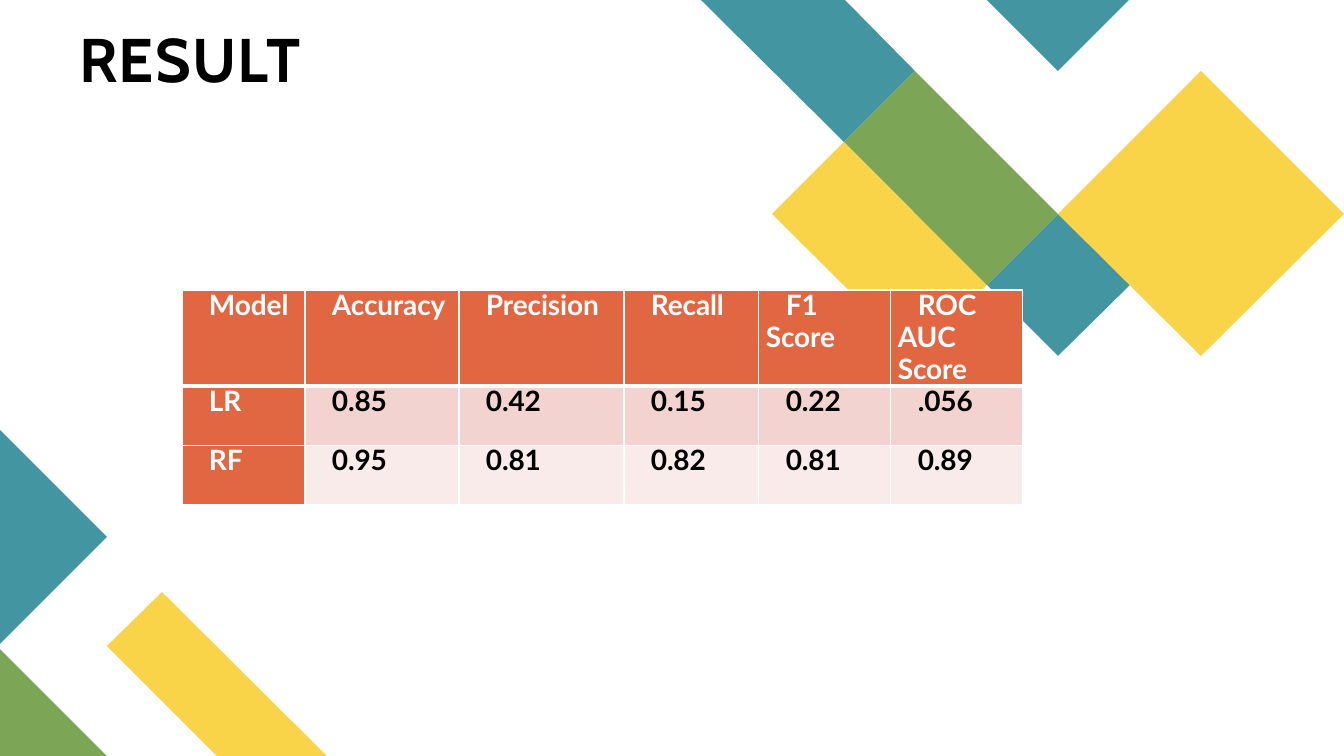
from lxml import etree
from pptx import Presentation
from pptx.dml.color import RGBColor
from pptx.enum.text import MSO_ANCHOR, MSO_AUTO_SIZE, PP_ALIGN
from pptx.oxml.ns import qn
from pptx.util import Emu, Pt

LEFT, JUSTIFY = PP_ALIGN.LEFT, PP_ALIGN.JUSTIFY
TOP, BOTTOM = MSO_ANCHOR.TOP, MSO_ANCHOR.BOTTOM
NO_AUTOFIT = MSO_AUTO_SIZE.NONE

EMU_PER_PX = 914400 / 100.8
TITLE_ONLY_LAYOUT = 5

TEAL, YELLOW, GREEN = "4495A2", "F9D448", "7CA655"
ORANGE, PINK, PALE_PINK = "E06742", "F3D3CF", "F9EBE9"
WHITE, BLACK = "FFFFFF", "000000"

DECORATIONS = [
    (YELLOW, [(327, 756), (217, 756), (107, 646), (162, 592)]),
    (GREEN, [(107, 756), (0, 756), (0, 649)]),
    (TEAL, [(0, 430), (107, 537), (0, 644)]),
    (TEAL, [(915, 71), (845, 0), (701, 0), (844, 142)]),
    (TEAL, [(1130, 285), (1058, 214), (987, 285), (1058, 356)]),
    (YELLOW, [(844, 142), (772, 214), (915, 356), (987, 285)]),
    (TEAL, [(1129, 0), (987, 0), (1058, 71)]),
    (GREEN, [(915, 71), (844, 142), (987, 285), (1058, 214)]),
    (YELLOW, [(1344, 214), (1201, 71), (1058, 214), (1201, 356)]),
]

RESULTS = [
    ["Model", "Accuracy", "Precision", "Recall", "F1 Score", "ROC AUC Score"],
    ["LR", "0.85", "0.42", "0.15", "0.22", ".056"],
    ["RF", "0.95", "0.81", "0.82", "0.81", "0.89"],
]
COLUMN_WIDTHS = [123, 154, 165, 135, 132, 132]
ROW_HEIGHTS = [95, 59, 59]
ROW_FILLS = [ORANGE, PINK, PALE_PINK]


def px(length):
    return Emu(round(length * EMU_PER_PX))


def color(hex_string):
    return RGBColor.from_string(hex_string)


def paint(fill, hex_string):
    fill.solid()
    fill.fore_color.rgb = color(hex_string)


def format_run(run, font_name, size, hex_string, spacing):
    """Style a bold run; spacing is in hundredths of a point."""
    run.font.name = font_name
    run.font.size = Pt(size)
    run.font.bold = True
    run.font.color.rgb = color(hex_string)
    run._r.get_or_add_rPr().set("spc", str(spacing))


def add_polygon(slide, hex_string, points):
    builder = slide.shapes.build_freeform(*points[0], scale=EMU_PER_PX)
    builder.add_line_segments(points[1:], close=True)
    shape = builder.convert_to_shape()
    shape.shadow.inherit = False
    paint(shape.fill, hex_string)
    shape.line.fill.background()


def add_title(slide, text):
    title = slide.shapes.title
    title.left, title.top, title.width, title.height = map(px, (79, 28, 891, 68))
    frame = title.text_frame
    frame.text = text
    frame.auto_size = NO_AUTOFIT
    frame.vertical_anchor = BOTTOM
    frame.margin_left = frame.margin_top = 0
    frame.margin_right = frame.margin_bottom = 0
    paragraph = frame.paragraphs[0]
    paragraph.alignment = LEFT
    paragraph.line_spacing = 0.9
    format_run(paragraph.runs[0], "Cabin", 44, BLACK, 100)
    # Bring the title in front of the decorations
    title.element.getparent().append(title.element)


def set_borders(cell, top, bottom):
    """Draw white cell borders; top and bottom are widths in points."""
    properties = cell._tc.get_or_add_tcPr()
    widths = {"a:lnL": 1, "a:lnR": 1, "a:lnT": top, "a:lnB": bottom}
    for position, (tag, width) in enumerate(widths.items()):
        line = etree.Element(qn(tag), w=str(Pt(width)))
        fill = etree.SubElement(line, qn("a:solidFill"))
        etree.SubElement(fill, qn("a:srgbClr"), val=WHITE)
        properties.insert(position, line)


def fill_cell(cell, text, fill, text_color):
    paint(cell.fill, fill)
    cell.vertical_anchor = TOP
    cell.margin_left = cell.margin_right = px(7)
    cell.margin_top = cell.margin_bottom = 0
    cell.text = text
    paragraph = cell.text_frame.paragraphs[0]
    paragraph.alignment = JUSTIFY
    paragraph.line_spacing = 0.95
    paragraph.space_after = Pt(6)
    paragraph._p.get_or_add_pPr().set("indent", str(px(20)))
    format_run(paragraph.runs[0], "Lato", 20, text_color, -10)


def add_results_table(slide):
    frame = slide.shapes.add_table(
        len(RESULTS), len(COLUMN_WIDTHS), px(182), px(290),
        px(sum(COLUMN_WIDTHS)), px(sum(ROW_HEIGHTS)))
    table = frame.table
    table.first_col = True
    for column, width in zip(table.columns, COLUMN_WIDTHS):
        column.width = px(width)
    for row_index, values in enumerate(RESULTS):
        table.rows[row_index].height = px(ROW_HEIGHTS[row_index])
        for column_index, value in enumerate(values):
            is_heading = row_index == 0 or column_index == 0
            cell = table.cell(row_index, column_index)
            fill_cell(cell, value,
                      ORANGE if is_heading else ROW_FILLS[row_index],
                      WHITE if is_heading else BLACK)
            set_borders(cell, top=3 if row_index == 1 else 1,
                        bottom=3 if row_index == 0 else 1)


def main():
    presentation = Presentation()
    presentation.slide_width = px(1344)
    presentation.slide_height = px(756)
    layout = presentation.slide_layouts[TITLE_ONLY_LAYOUT]
    slide = presentation.slides.add_slide(layout)
    paint(slide.background.fill, WHITE)
    for hex_string, points in DECORATIONS:
        add_polygon(slide, hex_string, points)
    add_title(slide, "RESULT")
    add_results_table(slide)
    presentation.save("out.pptx")


if __name__ == "__main__":
    main()
